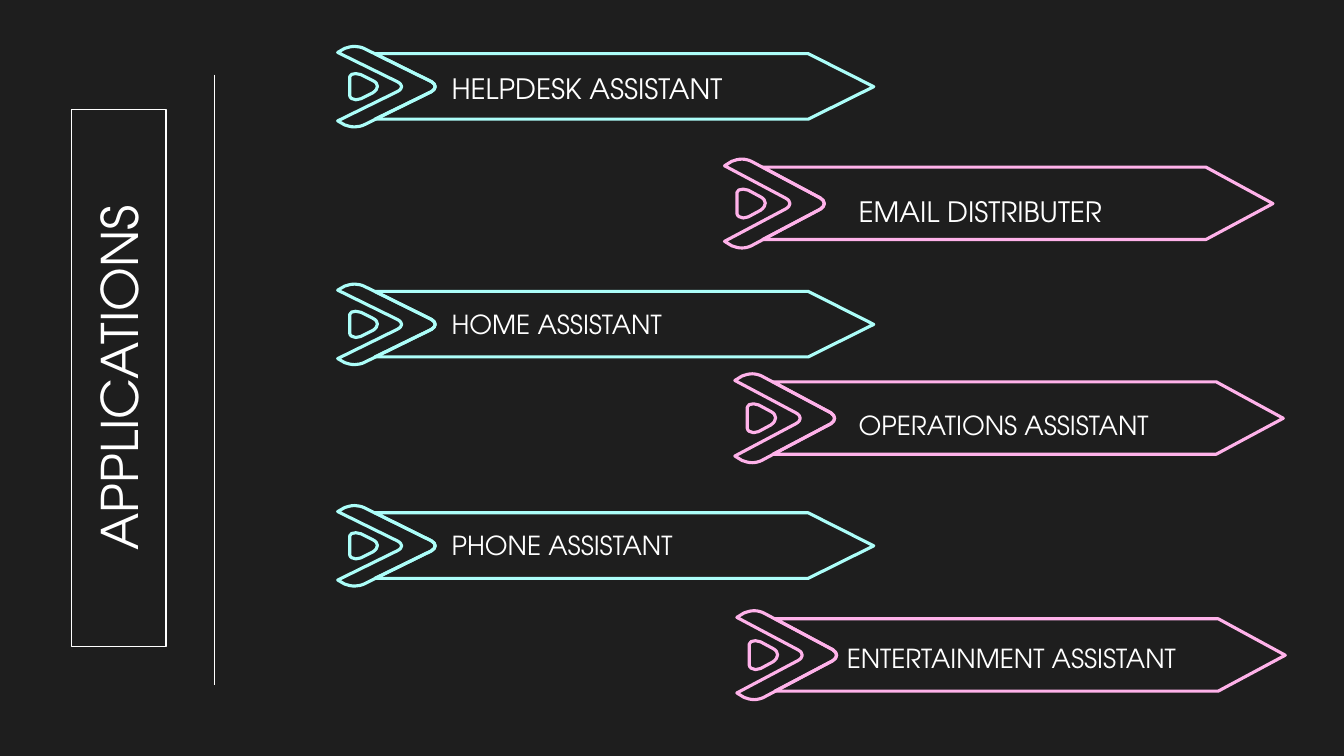
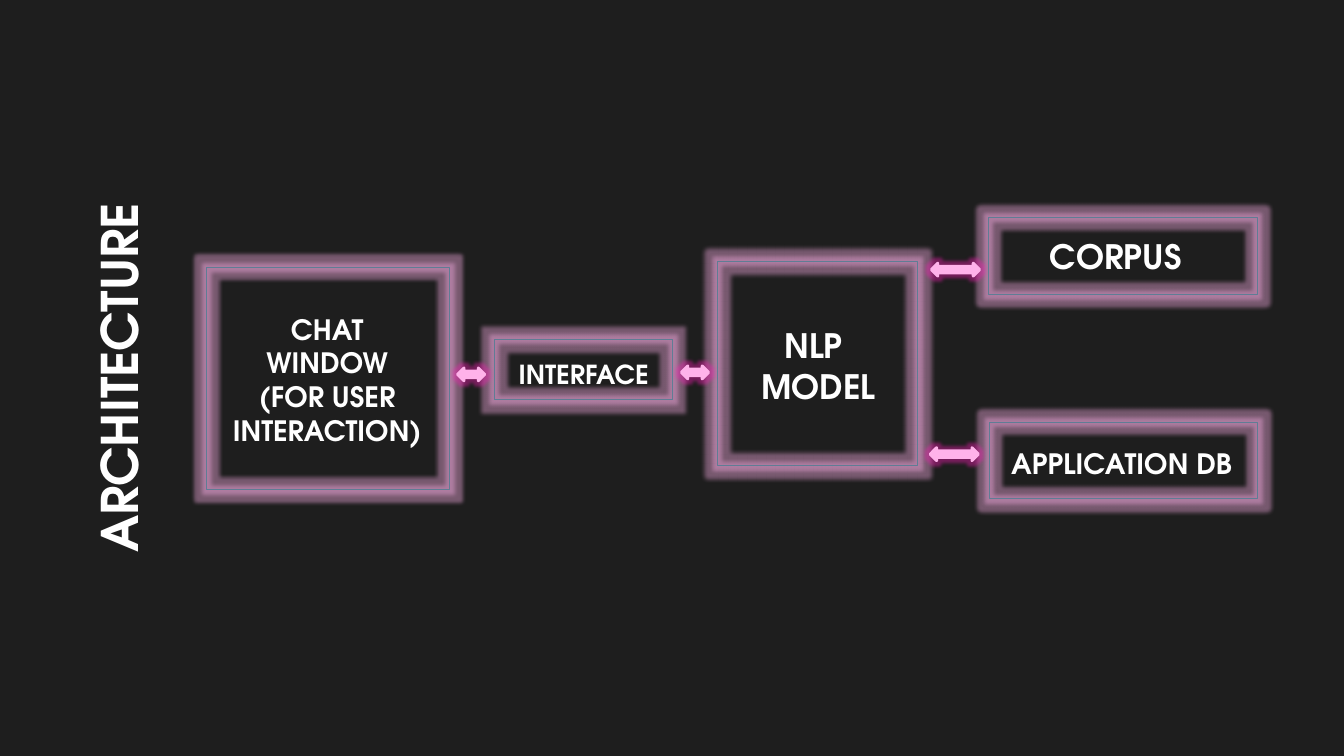
from lxml import etree
from pptx import Presentation
from pptx import util as u
from pptx.dml.color import RGBColor
from pptx.enum import shapes, text
from pptx.oxml import ns

COLORS = {
    "background": "1E1E1E",
    "white": "FFFFFF",
    "cyan": "ACFEF9",
    "pink": "FFB2EA",
    "magenta": "FF1EBB",
    "steel": "5F7D95",
}
FONT = "TeX Gyre Adventor"
TOP, MIDDLE, BOTTOM = (
    text.MSO_ANCHOR.TOP, text.MSO_ANCHOR.MIDDLE, text.MSO_ANCHOR.BOTTOM)
GRID = (532, 80)

CHEVRON = [
    (17, 0), (13, 0, 10, 1, 7, 2), (0, 6), (59, 35), (65, 38, 65, 42, 59, 45),
    (0, 74), (7, 78), (10, 79, 13, 80, 17, 80), (20, 80, 24, 79, 26, 78),
    (93, 45), (98, 42, 98, 38, 93, 35), (26, 2), (24, 1, 20, 0, 17, 0),
]
CORE = [
    (18, 27), (15, 27, 12, 28, 12, 30), (12, 49), (12, 51, 15, 53, 18, 53),
    (20, 53, 21, 52, 23, 52), (35, 46), (41, 42, 41, 37, 35, 34),
    (23, 28), (21, 27, 20, 27, 18, 27),
]
BODY = [
    (37, 7.2), (93, 35), (98, 38, 98, 42, 93, 45), (37, 72.3),
    (467, 72.3), (532, 40), (467, 7.2),
]

CYAN_SIZE = (13.51, 2.03)
PINK_SIZE = (13.82, 2.24)
BANNERS = [
    ("HELPDESK ASSISTANT", 20, "cyan", (8.51, 1.17), CYAN_SIZE, (2.54, 0.3, 11.94, 1.78)),
    ("EMAIL DISTRIBUTER", 20, "pink", (18.26, 4.01), PINK_SIZE, (3.05, 0.56, 11.43, 1.78)),
    ("HOME ASSISTANT", 18.7, "cyan", (8.51, 7.16), CYAN_SIZE, (2.54, 0.28, 7.82, 1.24)),
    ("OPERATIONS ASSISTANT", 18.7, "pink", (18.52, 9.42), PINK_SIZE, (2.79, 0.56, 10.06, 1.24)),
    ("PHONE ASSISTANT", 18.7, "cyan", (8.51, 12.74), CYAN_SIZE, (2.54, 0.26, 10.06, 1.24)),
    ("ENTERTAINMENT ASSISTANT", 18.7, "pink", (18.57, 15.39), PINK_SIZE, (2.44, 0.48, 11.05, 1.24)),
]

COMPONENTS = [
    ("CHAT\vWINDOW\v(FOR USER INTERACTION)", 20, BOTTOM,
     (4.6, 6.43, 7.29, 5.16), (5.21, 6.73, 6.12, 5.61)),
    ("INTERFACE", 18.7, TOP, (11.18, 8.69, 7.06, 2.13), (12.47, 8.56, 4.47, 1.52)),
    ("NLP \vMODEL", 24, TOP, (17.09, 7.87, 7.06, 3.45), (18.08, 6.6, 5.05, 5.13)),
    ("CORPUS", 24, BOTTOM, (24.59, 5.16, 7.06, 2.13), (24.92, 5.49, 6.76, 1.93)),
    ("APPLICATION DB", 20, BOTTOM, (24.74, 10.31, 7.06, 2.13), (24.94, 10.64, 6.76, 1.93)),
]
LINKS = [(11.53, 9.27, 0.69), (17.17, 9.22, 0.69),
         (23.47, 6.63, 1.22), (23.44, 11.28, 1.22)]


def rgb(name):
    return RGBColor.from_string(COLORS[name])


def cm(*lengths):
    return [u.Cm(length) for length in lengths]


def outline(shape, color, width):
    shape.line.color.rgb = rgb(color)
    shape.line.width = u.Pt(width)


def add_effect(shape, kind, color, alpha, **settings):
    effects = shape._element.spPr.find(ns.qn("a:effectLst"))
    effect = etree.SubElement(effects, ns.qn(kind), **settings)
    tint = etree.SubElement(effect, ns.qn("a:srgbClr"), val=COLORS[color])
    etree.SubElement(tint, ns.qn("a:alpha"), val=str(alpha * 1000))


def glow(shape, color, radius, alpha):
    add_effect(shape, "a:glow", color, alpha, rad=str(u.Pt(radius)))


def add_preset(slide, kind, box):
    shape = slide.shapes.add_shape(kind, *cm(*box))
    shape.shadow.inherit = False
    shape.fill.background()
    shape.line.fill.background()
    return shape


def write(shape, wording, size, anchor, align=text.PP_ALIGN.CENTER, bold=False):
    frame = shape.text_frame
    frame.word_wrap = True
    frame.vertical_anchor = anchor
    frame.margin_left = frame.margin_right = u.Cm(0.33)
    frame.margin_top = frame.margin_bottom = u.Cm(0.33)
    paragraph = frame.paragraphs[0]
    paragraph.text = wording
    paragraph.alignment = align
    paragraph.line_spacing = u.Pt(round(size * 1.2, 1))
    for run in paragraph.runs:
        run.font.name = FONT
        run.font.size = u.Pt(size)
        run.font.bold = bold
        run.font.color.rgb = rgb("white")


def add_slide(deck, heading, bold=False):
    slide = deck.slides.add_slide(deck.slide_layouts[6])
    slide.background.fill.solid()
    slide.background.fill.fore_color.rgb = rgb("background")
    title = add_preset(slide, shapes.MSO_SHAPE.RECTANGLE, (-3.78, 8.33, 13.54, 2.39))
    title.rotation = 270
    write(title, heading, 36, MIDDLE, bold=bold)
    return slide, title


def add_outline(slide, steps, corner, scale):
    points = [(step[i] * scale[0], step[i + 1] * scale[1])
              for step in steps for i in range(0, len(step), 2)]
    builder = slide.shapes.build_freeform(*points[0])
    builder.add_line_segments(points[1:], close=True)
    part = builder.convert_to_shape(*cm(*corner))
    segments = iter(list(part._element.iter(ns.qn("a:lnTo"))))
    for step in steps[1:]:
        segment = next(segments)
        if len(step) == 6:
            curve = etree.Element(ns.qn("a:cubicBezTo"))
            segment.addprevious(curve)
            for control in (segment, next(segments), next(segments)):
                curve.append(control[0])
                control.getparent().remove(control)
    part.shadow.inherit = False
    part.fill.background()
    return part


def add_banner(slide, label, size, color, corner, extent, label_box):
    left, top = corner
    scale = [u.Cm(side) / units for side, units in zip(extent, GRID)]
    for steps in (CHEVRON, CORE, BODY):
        outline(add_outline(slide, steps, corner, scale), color, 2.25)
    shift_x, shift_y, width, height = label_box
    caption = slide.shapes.add_textbox(*cm(left + shift_x, top + shift_y, width, height))
    write(caption, label, size, TOP, text.PP_ALIGN.LEFT)


def add_component(slide, label, size, anchor, label_box, frame_box):
    caption = slide.shapes.add_textbox(*cm(*label_box))
    write(caption, label, size, anchor, bold=True)
    frame = add_preset(slide, shapes.MSO_SHAPE.RECTANGLE, frame_box)
    outline(frame, "steel", 0.75)
    glow(frame, "pink", 6, 40)


def add_link(slide, left, top, width):
    link = add_preset(slide, shapes.MSO_SHAPE.LEFT_RIGHT_ARROW, (left, top, width, 0.33))
    link.fill.solid()
    link.fill.fore_color.rgb = rgb("pink")
    outline(link, "pink", 2)
    glow(link, "magenta", 5, 40)


def build_applications(deck):
    slide, title = add_slide(deck, "APPLICATIONS")
    outline(title, "white", 0.75)
    add_effect(title, "a:outerShdw", "white", 60, blurRad=str(u.Pt(6.5)),
               dist="0", dir="0", sx="1000", sy="100000", algn="l", rotWithShape="0")
    divider = slide.shapes.add_connector(
        shapes.MSO_CONNECTOR.STRAIGHT, *cm(5.41, 1.88, 5.41, 17.25))
    outline(divider, "white", 0.75)
    etree.SubElement(divider._element.spPr, ns.qn("a:effectLst"))
    for banner in BANNERS:
        add_banner(slide, *banner)


def build_architecture(deck):
    slide, _ = add_slide(deck, "ARCHITECTURE", bold=True)
    for component in COMPONENTS:
        add_component(slide, *component)
    for link in LINKS:
        add_link(slide, *link)


def main():
    deck = Presentation()
    deck.slide_width, deck.slide_height = cm(33.87, 19.05)
    build_applications(deck)
    build_architecture(deck)
    deck.save("out.pptx")


if __name__ == "__main__":
    main()
